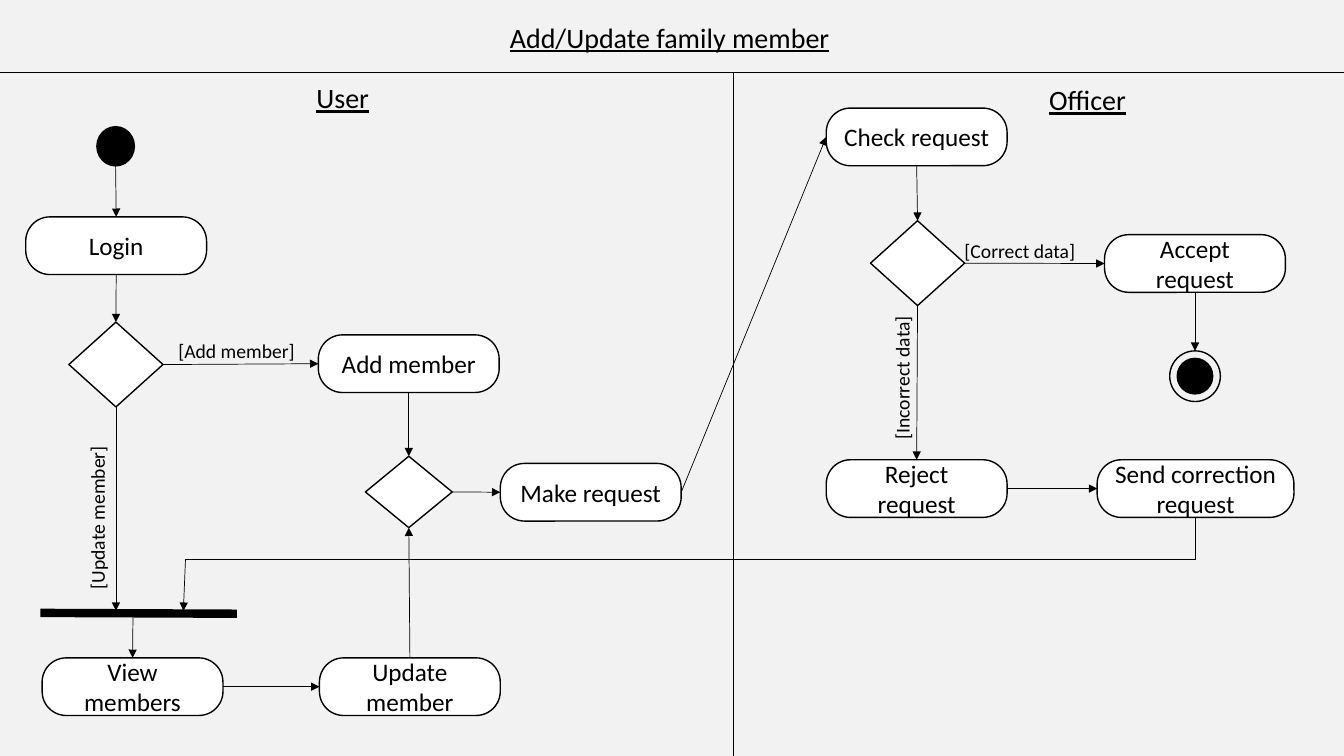
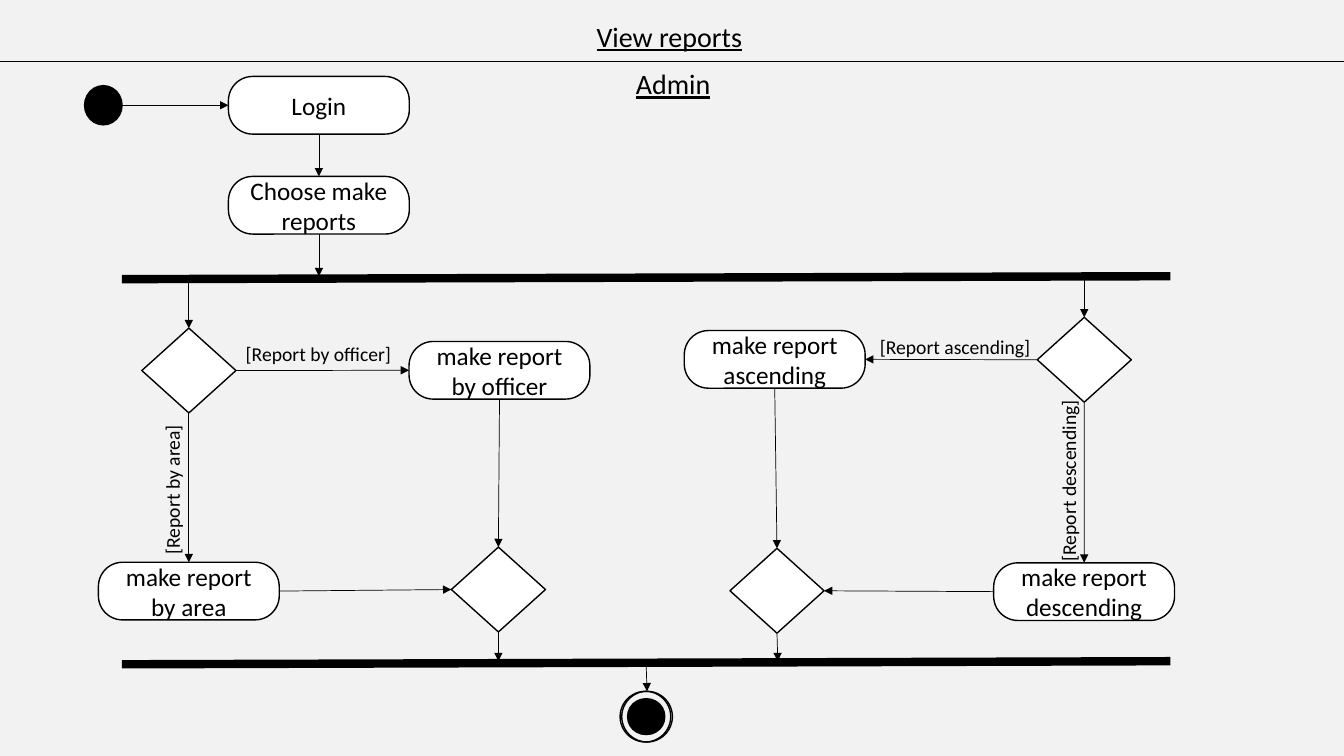
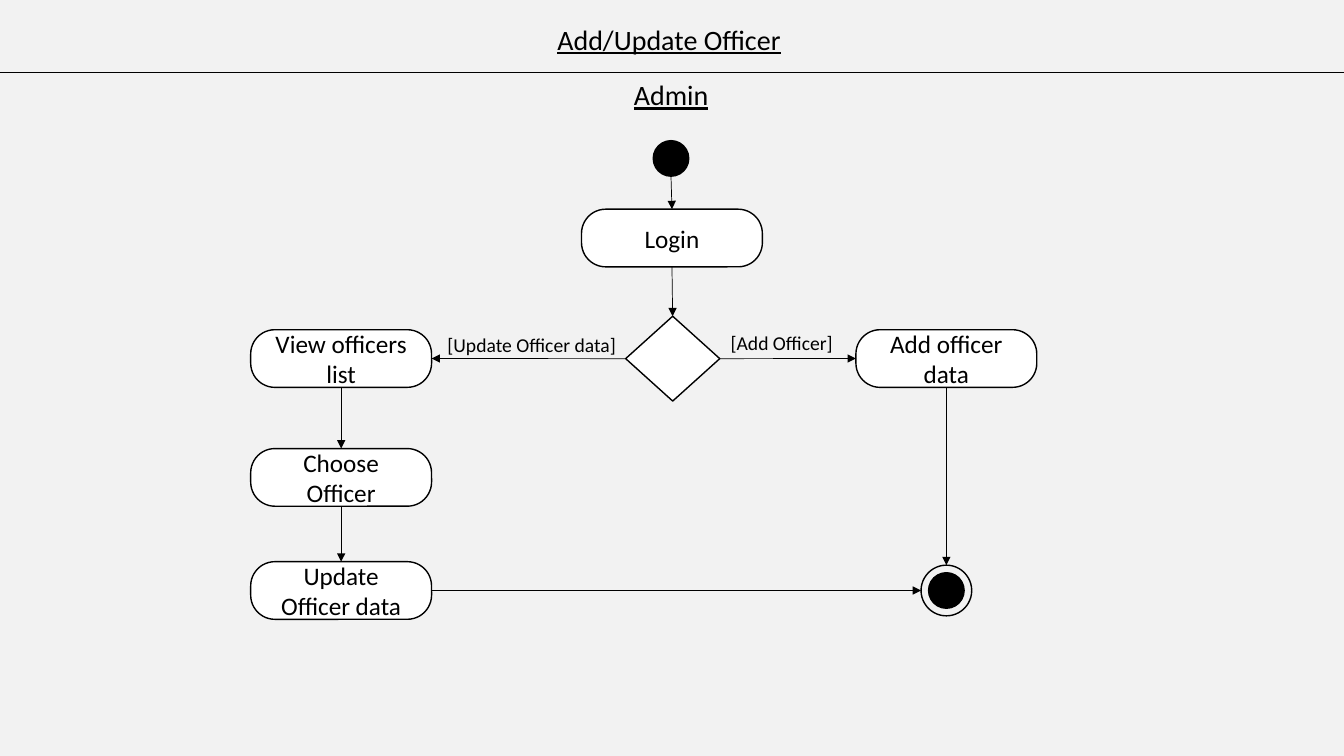
from dataclasses import dataclass
from typing import Any, NamedTuple, Union

from lxml import etree
from pptx import Presentation, util as u
from pptx.dml.color import RGBColor
from pptx.enum import shapes as es, text as et
from pptx.oxml import ns

# Shared look
INK = RGBColor(0x00, 0x00, 0x00)
PAPER = RGBColor(0xF2, 0xF2, 0xF2)
WHITE = RGBColor(0xFF, 0xFF, 0xFF)
FONT = "Calibri"
WIDE, HIGH = 960, 540
THIN, EDGE, BAR = 0.5, 1, 6
HEAD, BODY, NOTE = 20, 18, 14
TALL = {HEAD: 31.5, NOTE: 24.2}
ROUND = 0.42
RING, DOT = 36.2, 25.4

# Node kinds and their usual sizes
ACT, TEST, START, END = "act", "test", "start", "end"
SIZES = {ACT: (129.2, 41.2), TEST: (67.2, 60.6), START: (26.8, 28), END: (RING, RING)}
FORMS = {ACT: es.MSO_SHAPE.ROUNDED_RECTANGLE, TEST: es.MSO_SHAPE.DIAMOND,
         START: es.MSO_SHAPE.OVAL, END: es.MSO_SHAPE.OVAL}
SIDES = {"T": (0, -0.5), "L": (-0.5, 0), "B": (0, 0.5), "R": (0.5, 0)}

Spot = tuple[float, float]


@dataclass(frozen=True)
class Node:
    """A step of the flow, placed by its centre."""
    kind: str
    x: float
    y: float
    text: str = ""
    size: Union[Spot, None] = None

    @property
    def area(self) -> Spot:
        return self.size or SIZES[self.kind]

    def port(self, side: str) -> Spot:
        dx, dy = SIDES[side]
        w, h = self.area
        return self.x + dx * w, self.y + dy * h


class Flow(NamedTuple):
    """An arrow between nodes or free points; ports name the sides used."""
    start: Union[str, Spot]
    end: Union[str, Spot]
    ports: str = "BT"
    tip: bool = True


class Label(NamedTuple):
    """A caption, placed by its centre."""
    text: str
    x: float
    y: float
    w: float
    size: int = NOTE
    turn: int = 0
    wrap: bool = False


class Rule(NamedTuple):
    start: Spot
    end: Spot
    width: float = THIN


class Page(NamedTuple):
    rules: list[Rule]
    labels: list[Label]
    nodes: dict[str, Node]
    flows: list[Flow]


# Drawing
def write(frame: Any, text: str, *, size: int = BODY, line: bool = False,
          mid: bool = False, wrap: bool = True) -> None:
    frame.word_wrap = wrap
    par = frame.paragraphs[0]
    par.alignment = et.PP_ALIGN.CENTER if mid else et.PP_ALIGN.LEFT
    run = par.add_run()
    run.text = text
    font = run.font
    font.name, font.size, font.color.rgb = FONT, u.Pt(size), INK
    if line:
        font.underline = True


def frame_at(x: float, y: float, w: float, h: float) -> list[u.Length]:
    return [u.Pt(v) for v in (x - w / 2, y - h / 2, w, h)]


def draw_form(host: Any, kind: str, x: float, y: float, area: Spot,
              fill: Union[RGBColor, None]) -> Any:
    form = host.add_shape(FORMS[kind], *frame_at(x, y, *area))
    form.shadow.inherit = False
    if fill is None:
        form.fill.background()
    else:
        form.fill.solid()
        form.fill.fore_color.rgb = fill
    form.line.color.rgb = INK
    form.line.width = u.Pt(EDGE)
    return form


def draw_node(host: Any, node: Node) -> None:
    if node.kind == END:
        group = host.add_group_shape().shapes
        draw_form(group, START, node.x, node.y, (DOT, DOT), INK)
        draw_form(group, END, node.x, node.y, node.area, None)
        return
    fill = INK if node.kind == START else WHITE
    form = draw_form(host, node.kind, node.x, node.y, node.area, fill)
    if node.kind == ACT:
        form.adjustments[0] = ROUND
        form.text_frame.vertical_anchor = et.MSO_ANCHOR.MIDDLE
        write(form.text_frame, node.text, mid=True)


def draw_line(host: Any, start: Spot, end: Spot, width: float = THIN,
              tip: bool = False) -> None:
    ends = [u.Pt(v) for v in (*start, *end)]
    link = host.add_connector(es.MSO_CONNECTOR.STRAIGHT, *ends)
    link.line.color.rgb = INK
    link.line.width = u.Pt(width)
    props = link._element.spPr
    if tip:
        etree.SubElement(props.find(ns.qn("a:ln")), ns.qn("a:tailEnd"), type="triangle")
    etree.SubElement(props, ns.qn("a:effectLst"))


def draw_label(host: Any, label: Label) -> None:
    box = host.add_textbox(*frame_at(label.x, label.y, label.w, TALL[label.size]))
    box.rotation = label.turn
    write(box.text_frame, label.text, size=label.size,
          line=label.size == HEAD, wrap=label.wrap)
    box.text_frame.auto_size = et.MSO_AUTO_SIZE.SHAPE_TO_FIT_TEXT


def draw_page(deck: Any, page: Page) -> None:
    host = deck.slides.add_slide(deck.slide_layouts[6]).shapes

    def spot(end: Union[str, Spot], side: str) -> Spot:
        return page.nodes[end].port(side) if isinstance(end, str) else end

    for rule in page.rules:
        draw_line(host, *rule)
    for label in page.labels:
        draw_label(host, label)
    for node in page.nodes.values():
        draw_node(host, node)
    for flow in page.flows:
        out, into = flow.ports
        draw_line(host, spot(flow.start, out), spot(flow.end, into), tip=flow.tip)


def across(y: float) -> Rule:
    return Rule((0, y), (WIDE, y))


# Family member: user and officer lanes
TURN = (132.5, 399.6)
family = Page(
    rules=[across(51.8), Rule((524, 51.8), (524, HIGH)),
           Rule((28.8, 437.8), (169.2, 438.4), BAR)],
    labels=[
        Label("Add/Update family member", 479.5, 26.6, 244.8, HEAD),
        Label("User", 245.2, 69.8, 52.6, HEAD),
        Label("Officer", 777.6, 71.3, 70.6, HEAD),
        Label("[Add member]", 169.6, 250.6, 98.6),
        Label("[Update member]", 69.5, 369.4, 117.4, turn=270),
        Label("[Correct data]", 729, 179.3, 94.3),
        Label("[Incorrect data]", 644.4, 269.3, 103.7, turn=270),
    ],
    nodes={
        "start": Node(START, 82.6, 104.5),
        "login": Node(ACT, 83, 175.5, "Login"),
        "mode": Node(TEST, 82.8, 260.4),
        "add": Node(ACT, 292, 259.8, "Add member"),
        "view": Node(ACT, 94.7, 490.5, "View members"),
        "update": Node(ACT, 292.8, 490.5, "Update member"),
        "merge": Node(TEST, 292, 351.4, size=(62, 51)),
        "make": Node(ACT, 422, 351.6, "Make request"),
        "check": Node(ACT, 654.8, 97.8, "Check request"),
        "test": Node(TEST, 655.4, 188),
        "accept": Node(ACT, 853.6, 188.2, "Accept request"),
        "reject": Node(ACT, 654.8, 349, "Reject request"),
        "send": Node(ACT, 854, 349, "Send correction request", (140.6, 41.2)),
        "end": Node(END, 853.6, 268.7),
    },
    flows=[
        Flow("start", "login"), Flow("login", "mode"),
        Flow("mode", "add", "RL"), Flow("mode", (82.8, 436.3)),
        Flow((95, 440.6), "view"), Flow("view", "update", "RL"),
        Flow("update", "merge", "TB"), Flow("add", "merge"),
        Flow("merge", "make", "RL"), Flow("make", "check", "RL"),
        Flow("check", "test"), Flow("test", "accept", "RL"),
        Flow("test", "reject"), Flow("accept", "end"),
        Flow("reject", "send", "RL"),
        Flow("send", (854, TURN[1]), tip=False),
        Flow(TURN, (854, TURN[1]), tip=False), Flow(TURN, (131, 436.3)),
    ],
)

# Reports: two parallel choices between bars
reports = Page(
    rules=[across(43.9), Rule((87.1, 199.4), (836, 197.3), BAR),
           Rule((87.1, 474.5), (836, 472.3), BAR)],
    labels=[
        Label("View reports", 478.8, 25.9, 119.5, HEAD),
        Label("Admin", 481.3, 59.8, 68.4, HEAD),
        Label("[Report by officer]", 228.2, 252.7, 119.5),
        Label("[Report by area]", 123.1, 349.2, 108, turn=270),
        Label("[Report ascending]", 685.8, 247.7, 128.9, wrap=True),
        Label("[Report descending]", 763.2, 342.7, 131, turn=270, wrap=True),
    ],
    nodes={
        "start": Node(START, 73.8, 75.2),
        "login": Node(ACT, 227.8, 75.2, "Login"),
        "choose": Node(ACT, 227.8, 146.6, "Choose make reports"),
        "group": Node(TEST, 134.9, 264.7),
        "officer": Node(ACT, 356.8, 264.5, "make report by officer"),
        "area": Node(ACT, 134.9, 422.2, "make report by area"),
        "join": Node(TEST, 356, 421.1),
        "order": Node(TEST, 774.5, 257),
        "rise": Node(ACT, 553.4, 256.7, "make report ascending"),
        "fall": Node(ACT, 774.4, 422.6, "make report descending"),
        "merge": Node(TEST, 555, 422),
        "end": Node(END, 462.2, 511.9),
        "stop": Node(END, 461, 511.9),
    },
    flows=[
        Flow("start", "login", "RL"), Flow("login", "choose"),
        Flow("choose", (227.8, 197.3)),
        Flow((134.9, 197.3), "group"), Flow((774.5, 199.4), "order"),
        Flow("group", "officer", "RL"), Flow("group", "area"),
        Flow("officer", "join"), Flow("area", "join", "RL"),
        Flow("order", "rise", "LR"), Flow("order", "fall"),
        Flow("rise", "merge"), Flow("fall", "merge", "LR"),
        Flow("join", (356, 472.3)), Flow("merge", (555.6, 472.3)),
        Flow((461.6, 476), "end"),
    ],
)

# Officer records: update or add
officers = Page(
    rules=[across(51.8)],
    labels=[
        Label("Add/Update Officer", 479.2, 28.1, 176.4, HEAD),
        Label("Admin", 479.9, 67.7, 68.4, HEAD),
        Label("[Add Officer]", 559.1, 244.8, 88.6),
        Label("[Update Officer data]", 380.5, 246.2, 136.1),
    ],
    nodes={
        "start": Node(START, 479.3, 113.2, size=(DOT, DOT)),
        "login": Node(ACT, 480, 170, "Login"),
        "mode": Node(TEST, 480.5, 256.2),
        "view": Node(ACT, 243.7, 256.1, "View officers list"),
        "choose": Node(ACT, 243.7, 341, "Choose Officer"),
        "update": Node(ACT, 243.7, 421.8, "Update Officer data"),
        "add": Node(ACT, 676, 256.1, "Add officer data"),
        "end": Node(END, 676, 421.8),
    },
    flows=[
        Flow("start", "login"), Flow("login", "mode"),
        Flow("mode", "add", "RL"), Flow("mode", "view", "LR"),
        Flow("view", "choose"), Flow("choose", "update"),
        Flow("add", "end"), Flow("update", "end", "RL"),
    ],
)

# Build the deck
deck = Presentation()
deck.slide_width, deck.slide_height = u.Pt(WIDE), u.Pt(HIGH)
ground = deck.slide_master.background.fill
ground.solid()
ground.fore_color.rgb = PAPER
for page in (family, reports, officers):
    draw_page(deck, page)
deck.save("out.pptx")
